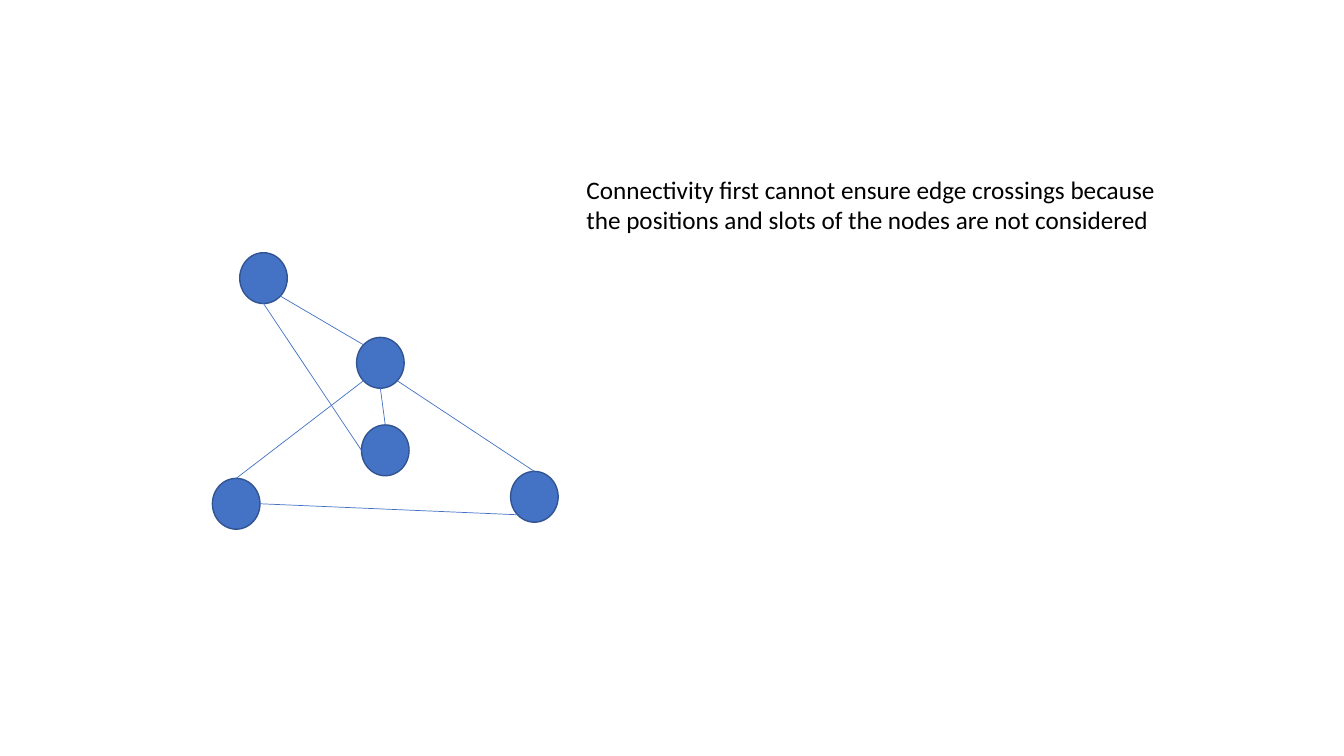
from math import cos, radians, sin

from lxml.etree import SubElement
from pptx import Presentation
from pptx.dml.color import RGBColor
from pptx.enum.shapes import MSO_CONNECTOR as CONN, MSO_SHAPE as SHAPE
from pptx.enum.text import MSO_AUTO_SIZE as AUTO
from pptx.oxml.ns import qn
from pptx.util import Pt

NODE_W, NODE_H = 34, 36.3
NODES = {
    "left": (0, 161.2),
    "right": (213, 156.2),
    "hub": (103, 60.5),
    "top": (19.5, 0),
    "inner": (106.5, 123),
}
ANGLES = {"e": 0, "se": 45, "s": 90, "sw": 135, "w": 180, "nw": 225, "n": 270}
EDGES = [
    ("hub", "sw", "left", "n"),
    ("hub", "se", "right", "n"),
    ("right", "sw", "left", "e"),
    ("hub", "nw", "top", "se"),
    ("hub", "s", "inner", "n"),
    ("inner", "w", "top", "s"),
]


def color(hex_code):
    return RGBColor.from_string(hex_code)


def site(node, side):
    x, y = NODES[node]
    angle = radians(ANGLES[side])
    return (x + NODE_W / 2 * (1 + cos(angle)),
            y + NODE_H / 2 * (1 + sin(angle)))


def add_graph(s, left, top):
    for x, y in NODES.values():
        sp = s.shapes.add_shape(SHAPE.OVAL, Pt(left + x), Pt(top + y),
                                Pt(NODE_W), Pt(NODE_H))
        sp.shadow.inherit = False
        sp.fill.solid()
        sp.fill.fore_color.rgb = color("4472C4")
        sp.line.color.rgb = color("325491")
        sp.line.width = Pt(1)
    for start, start_side, end, end_side in EDGES:
        x1, y1 = site(start, start_side)
        x2, y2 = site(end, end_side)
        edge = s.shapes.add_connector(CONN.STRAIGHT, Pt(left + x1), Pt(top + y1),
                                      Pt(left + x2), Pt(top + y2))
        edge.line.color.rgb = color("4472C4")
        edge.line.width = Pt(0.5)
        SubElement(edge._element.spPr, qn("a:effectLst"))


def add_remark(s, left, top, width, height):
    tf = s.shapes.add_textbox(Pt(left), Pt(top), Pt(width), Pt(height)).text_frame
    tf.word_wrap = True
    tf.auto_size = AUTO.SHAPE_TO_FIT_TEXT
    tf.text = ("Connectivity first cannot ensure edge crossings because "
               "the positions and slots of the nodes are not considered")
    font = tf.paragraphs[0].runs[0].font
    font.name = "Calibri"
    font.size = Pt(18)
    font.color.rgb = color("000000")


prs = Presentation()
prs.slide_width, prs.slide_height = Pt(960), Pt(540)
s = prs.slides.add_slide(prs.slide_layouts[6])
add_graph(s, 151.7, 180.5)
add_remark(s, 411.8, 121, 425.5, 94.3)
prs.save("out.pptx")
